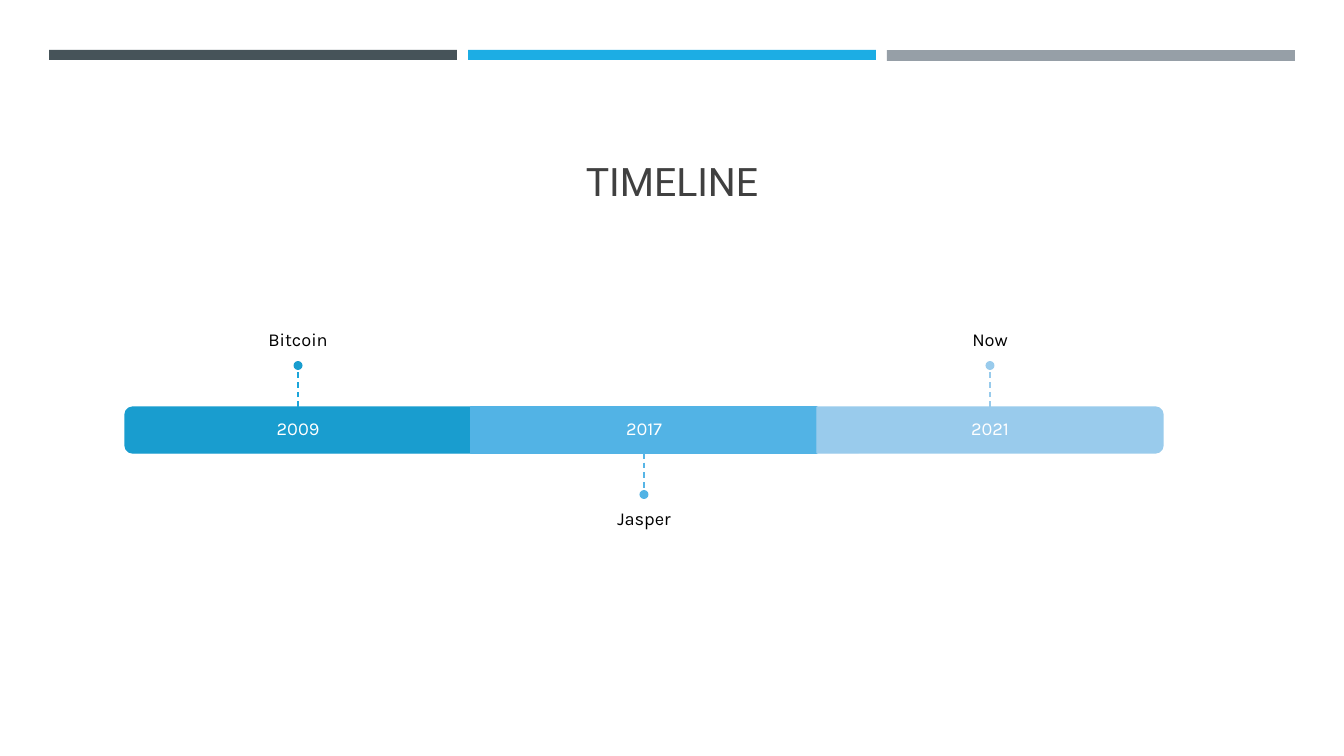
"""Builds a three-step timeline slide under a tricolour header band."""
from lxml import etree
from pptx import Presentation
from pptx.dml.color import RGBColor
from pptx.enum.dml import MSO_LINE
from pptx.enum.shapes import MSO_CONNECTOR, MSO_SHAPE
from pptx.enum.text import MSO_ANCHOR as ANCHOR, PP_ALIGN
from pptx.oxml.ns import qn
from pptx.util import Emu, Pt

TITLE = "TIMELINE"
HEADER = [("465359", 10), ("1CADE4", 10), ("969FA7", 11)]
STEPS = [
    {"year": "2009", "label": "Bitcoin", "fill": "199DCF", "stem": "1BA5DA", "turn": 270, "above": True},
    {"year": "2017", "label": "Jasper", "fill": "52B3E5", "stem": "57B5E6", "turn": 0, "above": False},
    {"year": "2021", "label": "Now", "fill": "99CBEC", "stem": "98CBEC", "turn": 90, "above": True},
]

BAND_LEFT, BAND_TOP, BAND_W, BAND_PITCH = 49, 50, 408, 419
BAR_LEFT, BAR_TOP, BAR_W, BAR_H = 125, 407, 346, 46
STEM, DOT, PAD = 37, 9, 11
LABEL_W, LABEL_H = 578, 160


def px(n):
    return Emu(round(n * 914400 / 100.8))


def rgb(value):
    return RGBColor.from_string(value)


def add_block(kind, x, y, w, h, fill, outlined=False):
    sp = s.shapes.add_shape(kind, px(x), px(y), px(w), px(h))
    sp.shadow.inherit = False
    sp.fill.solid()
    sp.fill.fore_color.rgb = rgb(fill)
    if outlined:
        sp.line.color.rgb = rgb(fill)
        sp.line.width = Pt(1)
    else:
        sp.line.fill.background()
    return sp


def add_text(text, x, y, w, h, anchor, font, size, color, pads=(0, 0), spacing=0.9):
    tf = s.shapes.add_textbox(px(x), px(y), px(w), px(h)).text_frame
    tf.word_wrap = True
    tf.vertical_anchor = anchor
    tf.margin_left = tf.margin_right = 0
    tf.margin_top, tf.margin_bottom = map(px, pads)
    p = tf.paragraphs[0]
    p.alignment = PP_ALIGN.CENTER
    p.line_spacing = spacing
    r = p.add_run()
    r.text = text
    r.font.name, r.font.size = font, Pt(size)
    r.font.color.rgb = rgb(color)


def add_stem(x, start, end, color):
    line = s.shapes.add_connector(MSO_CONNECTOR.STRAIGHT, px(x), px(start), px(x), px(end))
    line.line.color.rgb = rgb(color)
    line.line.width = Pt(1)
    line.line.dash_style = MSO_LINE.DASH
    etree.SubElement(line._element.spPr, qn("a:effectLst"))
    return line


def add_bar(mid, fill, turn):
    if not turn:
        return add_block(MSO_SHAPE.RECTANGLE, mid - BAR_W / 2, BAR_TOP, BAR_W, BAR_H, fill, True)
    middle = BAR_TOP + BAR_H / 2
    sp = add_block(MSO_SHAPE.ROUND_2_SAME_RECTANGLE, mid - BAR_H / 2, middle - BAR_W / 2,
                   BAR_H, BAR_W, fill, True)
    sp.rotation = turn
    return sp


def add_step(i, step):
    mid = BAR_LEFT + BAR_W * (i + 0.5)
    bar = add_bar(mid, step["fill"], step["turn"])
    add_text(step["year"], mid - BAR_W / 2, BAR_TOP, BAR_W, BAR_H,
             ANCHOR.MIDDLE, "Karla", 13, "FFFFFF")
    if step["above"]:
        start, end = BAR_TOP, BAR_TOP - STEM
        dot_top = end - DOT
        label_top, anchor, pads = dot_top - LABEL_H, ANCHOR.BOTTOM, (0, PAD)
    else:
        start, end = BAR_TOP + BAR_H, BAR_TOP + BAR_H + STEM
        dot_top = end
        label_top, anchor, pads = dot_top + DOT, ANCHOR.TOP, (PAD, 0)
    add_text(step["label"], mid - LABEL_W / 2, label_top, LABEL_W, LABEL_H,
             anchor, "Karla", 13, "000000", pads)
    stem = add_stem(mid, start, end, step["stem"])
    if not step["turn"]:
        stem.begin_connect(bar, 0 if step["above"] else 2)
    add_block(MSO_SHAPE.OVAL, mid - DOT / 2, dot_top, DOT, DOT, step["fill"])


prs = Presentation()
prs.slide_width, prs.slide_height = px(1344), px(756)
s = prs.slides.add_slide(prs.slide_layouts[6])

for i, (color, height) in enumerate(HEADER):
    add_block(MSO_SHAPE.RECTANGLE, BAND_LEFT + i * BAND_PITCH, BAND_TOP, BAND_W, height, color)
add_text(TITLE, 64, 78, 1216, 131, ANCHOR.BOTTOM, "Roboto", 28, "404040", (5, 5), 1.0)
for i, step in enumerate(STEPS):
    add_step(i, step)

prs.save("out.pptx")
